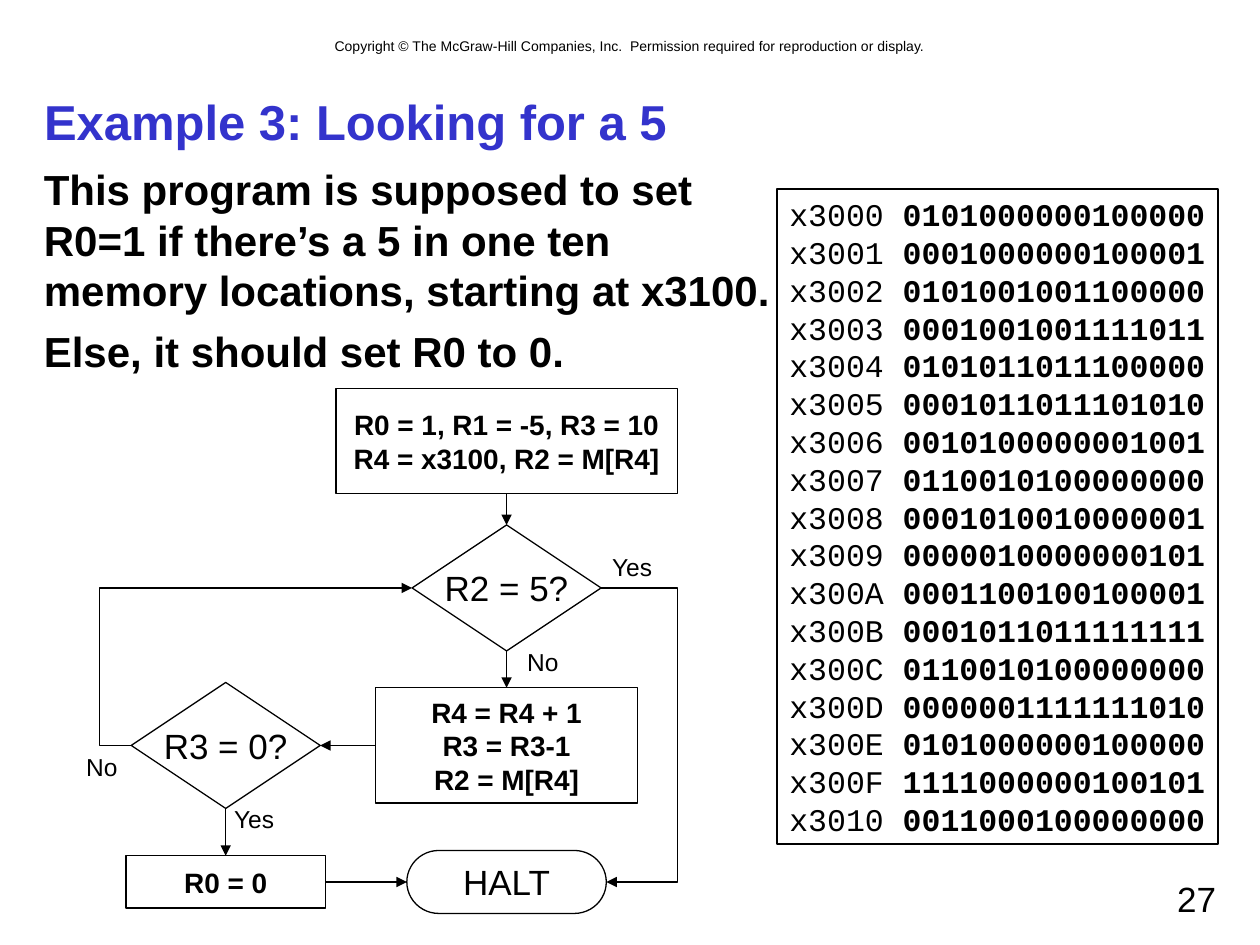
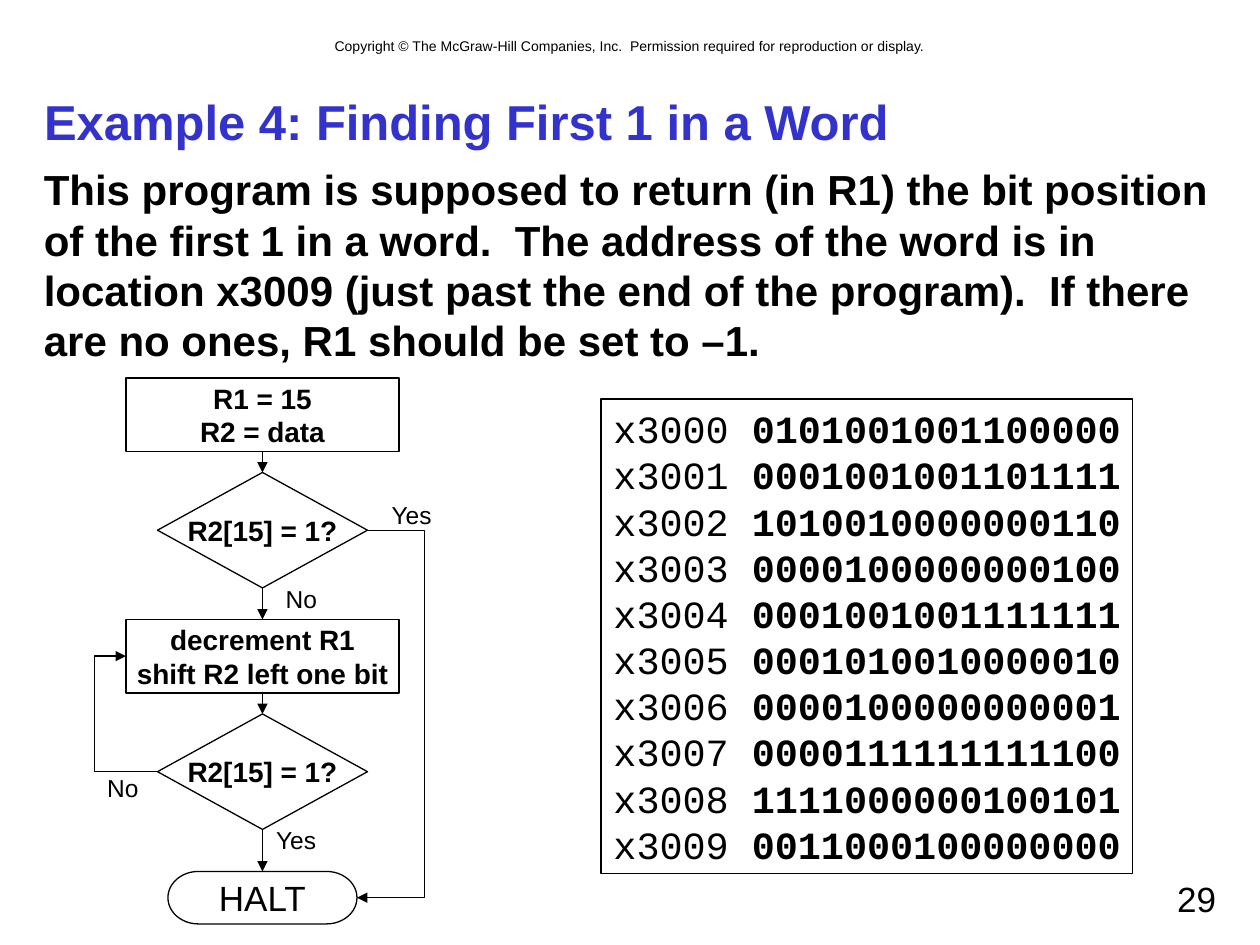
from dataclasses import dataclass
from enum import IntEnum
from typing import Optional

import lxml.etree
import pptx
import pptx.dml.color
import pptx.enum.shapes
import pptx.enum.text
import pptx.oxml
import pptx.oxml.ns
import pptx.util

SHAPE = pptx.enum.shapes.MSO_SHAPE
CONNECTOR = pptx.enum.shapes.MSO_CONNECTOR
ALIGN = pptx.enum.text.PP_ALIGN
ANCHOR = pptx.enum.text.MSO_ANCHOR

COLORS = {"ink": "000000", "title": "3333CC"}
SANS, MONO = "Arial", "Courier New"
WIDTH, HEIGHT = pptx.util.Inches(10), pptx.util.Inches(7.5)
COLUMN, ROW = WIDTH // 120, HEIGHT // 90
LINE_WIDTH = pptx.util.Pt(0.75)
FIRST_ADDRESS = 0x3000
COPYRIGHT = ("Copyright © The McGraw-Hill Companies, Inc.  "
             "Permission required for reproduction or display.")


class Side(IntEnum):
    TOP = 0
    LEFT = 1
    BOTTOM = 2
    RIGHT = 3


@dataclass(frozen=True)
class Box:
    """A place on the slide, in grid columns and rows."""
    column: float
    row: float
    columns: float
    rows: float

    def lengths(self) -> tuple[int, int, int, int]:
        return (round(self.column * COLUMN), round(self.row * ROW),
                round(self.columns * COLUMN), round(self.rows * ROW))


@dataclass(frozen=True)
class Step:
    """A flowchart step, placed by its centre column and middle row."""
    name: str
    text: str
    kind: SHAPE
    center: float
    middle: float
    columns: float
    rows: float
    size: int = 16
    bold: bool = True

    def box(self) -> Box:
        return Box(self.center - self.columns / 2, self.middle - self.rows / 2,
                   self.columns, self.rows)


@dataclass(frozen=True)
class Arrow:
    """An arrow between two steps; a lane is the column a bent one runs along."""
    start: str
    start_side: Side
    end: str
    end_side: Side
    lane: Optional[float] = None


@dataclass(frozen=True)
class Answer:
    text: str
    column: float
    row: float


@dataclass(frozen=True)
class Listing:
    box: Box
    size: int
    words: tuple[str, ...]


@dataclass(frozen=True)
class Example:
    title: str
    body: str
    page: int
    steps: tuple[Step, ...]
    arrows: tuple[Arrow, ...]
    answers: tuple[Answer, ...]
    listing: Listing


TITLE_BOX = Box(3, 8, 114, 7)
BODY_BOX = Box(3, 15, 114, 65)
COPYRIGHT_BOX = Box(8, 3, 104, 2.9)
PAGE_BOX = Box(86, 83, 31, 5)
ANSWER_COLUMNS = {"Yes": 6.4, "No": 5.4}
ANSWER_ROWS = 4

MAIN, SIDE_BRANCH = 48.25, 21.5
LOOP_ROW, END_ROW = 71, 84
SEARCH = Example(
    title="Example 3: Looking for a 5",
    body="This program is supposed to set\vR0=1 if there’s a 5 in one ten\v"
         "memory locations, starting at x3100.\nElse, it should set R0 to 0.",
    page=27,
    steps=(
        Step("setup", "R0 = 1, R1 = -5, R3 = 10\vR4 = x3100, R2 = M[R4]",
             SHAPE.RECTANGLE, MAIN, 42, 32.5, 10),
        Step("found", "R2 = 5?", SHAPE.FLOWCHART_DECISION, MAIN, 56, 18, 12, 20, False),
        Step("advance", "R4 = R4 + 1\nR3 = R3-1\nR2 = M[R4]",
             SHAPE.RECTANGLE, MAIN, LOOP_ROW, 25, 11),
        Step("done", "R3 = 0?", SHAPE.FLOWCHART_DECISION,
             SIDE_BRANCH, LOOP_ROW, 18, 12, 20, False),
        Step("clear", "R0 = 0", SHAPE.RECTANGLE, SIDE_BRANCH, END_ROW, 19, 5),
        Step("halt", "HALT", SHAPE.FLOWCHART_TERMINATOR, MAIN, END_ROW, 19, 6, 20, False),
    ),
    arrows=(
        Arrow("setup", Side.BOTTOM, "found", Side.TOP),
        Arrow("found", Side.BOTTOM, "advance", Side.TOP),
        Arrow("advance", Side.LEFT, "done", Side.RIGHT),
        Arrow("done", Side.LEFT, "found", Side.LEFT, lane=9.5),
        Arrow("done", Side.BOTTOM, "clear", Side.TOP),
        Arrow("clear", Side.RIGHT, "halt", Side.LEFT),
        Arrow("found", Side.RIGHT, "halt", Side.RIGHT, lane=64.5),
    ),
    answers=(Answer("No", 49, 61), Answer("Yes", 57, 52),
             Answer("Yes", 21, 76), Answer("No", 7, 71)),
    listing=Listing(Box(74, 18, 42, 62.4), 18, (
        "0101000000100000", "0001000000100001", "0101001001100000",
        "0001001001111011", "0101011011100000", "0001011011101010",
        "0010100000001001", "0110010100000000", "0001010010000001",
        "0000010000000101", "0001100100100001", "0001011011111111",
        "0110010100000000", "0000001111111010", "0101000000100000",
        "1111000000100101", "0011000100000000")),
)

SPINE = 25
BIT_TEST = "R2[15] = 1?"
FIRST_ONE = Example(
    title="Example 4: Finding First 1 in a Word",
    body="This program is supposed to return (in R1) the bit position of the first 1 "
         "in a word.  The address of the word is in location x3009 (just past the end "
         "of the program).  If there\vare no ones, R1 should be set to –1.",
    page=29,
    steps=(
        Step("setup", "R1 = 15\nR2 = data", SHAPE.FLOWCHART_PROCESS, SPINE, 39.5, 26, 7),
        Step("first test", BIT_TEST, SHAPE.FLOWCHART_DECISION, SPINE, 50.5, 20, 11),
        Step("shift", "decrement R1\nshift R2 left one bit",
             SHAPE.FLOWCHART_PROCESS, SPINE, 62.5, 26, 7),
        Step("next test", BIT_TEST, SHAPE.FLOWCHART_DECISION, SPINE, 73.5, 20, 11),
        Step("halt", "HALT", SHAPE.FLOWCHART_TERMINATOR, SPINE, 85.5, 18, 5, 20, False),
    ),
    arrows=(
        Arrow("setup", Side.BOTTOM, "first test", Side.TOP),
        Arrow("first test", Side.BOTTOM, "shift", Side.TOP),
        Arrow("shift", Side.BOTTOM, "next test", Side.TOP),
        Arrow("next test", Side.BOTTOM, "halt", Side.TOP),
        Arrow("first test", Side.RIGHT, "halt", Side.RIGHT, lane=40.4),
        Arrow("next test", Side.LEFT, "shift", Side.LEFT, lane=9),
    ),
    answers=(Answer("Yes", 36, 47), Answer("Yes", 25, 78),
             Answer("No", 26, 55), Answer("No", 9, 73)),
    listing=Listing(Box(57.25, 38, 50.6, 45.2), 22, (
        "0101001001100000", "0001001001101111", "1010010000000110",
        "0000100000000100", "0001001001111111", "0001010010000010",
        "0000100000000001", "0000111111111100", "1111000000100101",
        "0011000100000000")),
)


def write_text(shape, text: str, *, size: int, bold: bool = False, font: str = SANS,
               color: str = "ink", align=ALIGN.LEFT, anchor=ANCHOR.TOP,
               wrap: bool = True, gap: int = 0, plain_prefix: int = 0) -> None:
    """Fill a shape; the first plain_prefix characters of each line stay unbolded."""
    frame = shape.text_frame
    frame.auto_size = pptx.enum.text.MSO_AUTO_SIZE.NONE
    frame.word_wrap = wrap
    frame.vertical_anchor = anchor
    for index, line in enumerate(text.split("\n")):
        paragraph = frame.add_paragraph() if index else frame.paragraphs[0]
        paragraph.alignment = align
        paragraph.space_before = pptx.util.Pt(gap if index else 0)
        if plain_prefix:
            paragraph.text = line[:plain_prefix]
            paragraph.add_run().text = line[plain_prefix:]
        else:
            paragraph.text = line
        for position, run in enumerate(paragraph.runs):
            run.font.name = font
            run.font.size = pptx.util.Pt(size)
            run.font.bold = bold and not (plain_prefix and position == 0)
            run.font.color.rgb = pptx.dml.color.RGBColor.from_string(COLORS[color])


def add_text(slide, box: Box, text: str, **text_format) -> None:
    write_text(slide.shapes.add_textbox(*box.lengths()), text, **text_format)


def style_line(line) -> None:
    line.width = LINE_WIDTH
    line.color.rgb = pptx.dml.color.RGBColor.from_string(COLORS["ink"])


def add_outlined(slide, kind: SHAPE, box: Box, text: str, **text_format):
    shape = slide.shapes.add_shape(kind, *box.lengths())
    shape.shadow.inherit = False
    shape.fill.background()
    style_line(shape.line)
    write_text(shape, text, wrap=False, **text_format)
    return shape


def add_arrow(slide, arrow: Arrow, shapes: dict) -> None:
    kind = CONNECTOR.STRAIGHT if arrow.lane is None else CONNECTOR.ELBOW
    connector = slide.shapes.add_connector(kind, 0, 0, 0, 0)
    connector.begin_connect(shapes[arrow.start], int(arrow.start_side))
    connector.end_connect(shapes[arrow.end], int(arrow.end_side))
    style_line(connector.line)
    qualified = pptx.oxml.ns.qn
    properties = connector._element.spPr
    outline = properties.find(qualified("a:ln"))
    lxml.etree.SubElement(outline, qualified("a:tailEnd"), type="triangle")
    lxml.etree.SubElement(properties, qualified("a:effectLst"))
    if arrow.lane is not None:
        span = connector.end_x - connector.begin_x
        share = (arrow.lane * COLUMN - connector.begin_x) / span
        geometry = properties.find(qualified("a:prstGeom"))
        adjustments = geometry.find(qualified("a:avLst"))
        lxml.etree.SubElement(adjustments, qualified("a:gd"), name="adj1",
                              fmla=f"val {round(share * 100000)}")


def add_listing(slide, listing: Listing) -> None:
    lines = [f"x{address:04X} {word}"
             for address, word in enumerate(listing.words, FIRST_ADDRESS)]
    add_outlined(slide, SHAPE.RECTANGLE, listing.box, "\n".join(lines),
                 size=listing.size, bold=True, font=MONO, plain_prefix=len("x3000"))


def add_example(presentation, example: Example) -> None:
    slide = presentation.slides.add_slide(presentation.slide_layouts.get_by_name("Title Only"))
    title = slide.shapes.title
    title.left, title.top, title.width, title.height = TITLE_BOX.lengths()
    write_text(title, example.title, size=28, bold=True, color="title", anchor=ANCHOR.MIDDLE)
    add_text(slide, COPYRIGHT_BOX, COPYRIGHT, size=8, align=ALIGN.CENTER)
    add_text(slide, BODY_BOX, example.body, size=24, bold=True, gap=6)
    add_listing(slide, example.listing)
    shapes = {step.name: add_outlined(slide, step.kind, step.box(), step.text,
                                      size=step.size, bold=step.bold,
                                      align=ALIGN.CENTER, anchor=ANCHOR.MIDDLE)
              for step in example.steps}
    for arrow in example.arrows:
        add_arrow(slide, arrow, shapes)
    for answer in example.answers:
        box = Box(answer.column, answer.row, ANSWER_COLUMNS[answer.text], ANSWER_ROWS)
        add_text(slide, box, answer.text, size=14, align=ALIGN.CENTER, wrap=False)
    add_text(slide, PAGE_BOX, str(example.page), size=20, align=ALIGN.RIGHT)


def main() -> None:
    presentation = pptx.Presentation()
    presentation.slide_width, presentation.slide_height = WIDTH, HEIGHT
    for example in (SEARCH, FIRST_ONE):
        add_example(presentation, example)
    presentation.save("out.pptx")


if __name__ == "__main__":
    main()
